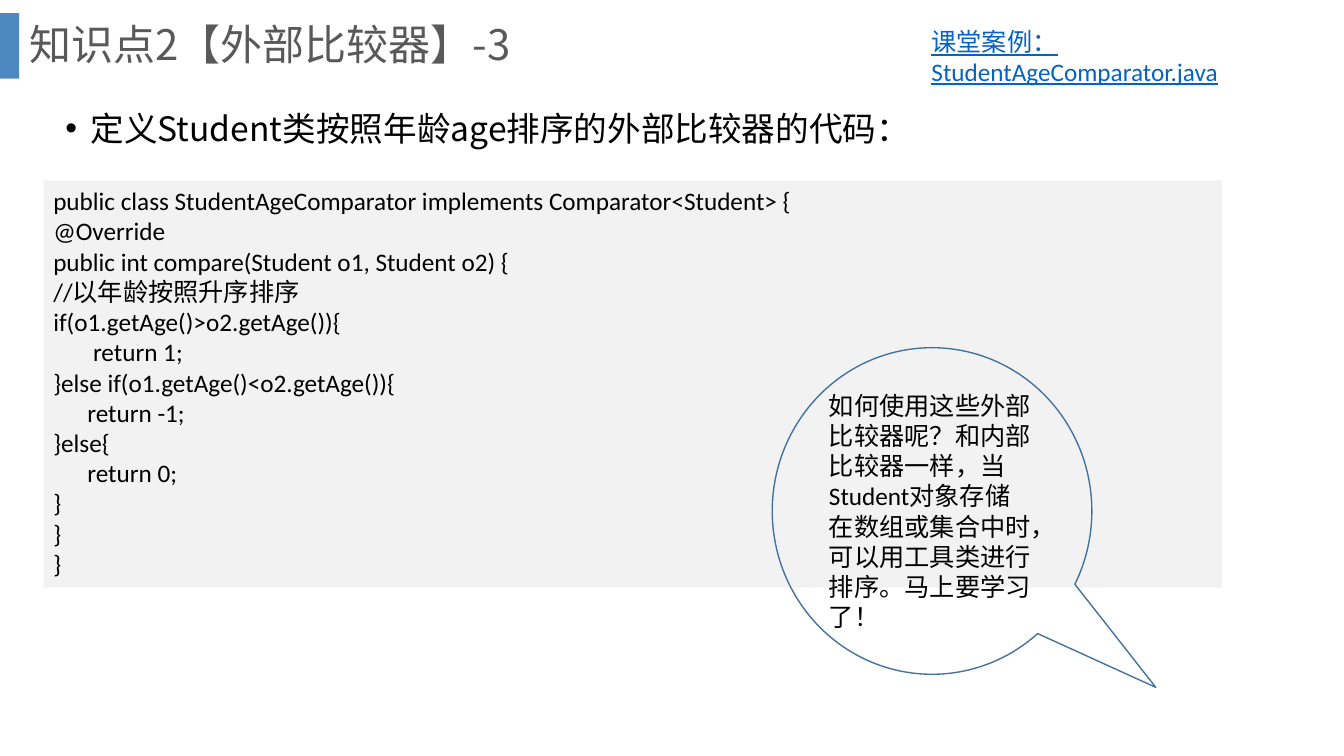
from lxml import etree
from pptx import Presentation
from pptx.dml.color import RGBColor
from pptx.enum.shapes import MSO_SHAPE
from pptx.enum.text import MSO_ANCHOR, PP_ALIGN
from pptx.oxml.ns import qn
from pptx.util import Inches, Pt

RECTANGLE, CALLOUT = MSO_SHAPE.RECTANGLE, MSO_SHAPE.OVAL_CALLOUT
TOP, MIDDLE, LEFT = MSO_ANCHOR.TOP, MSO_ANCHOR.MIDDLE, PP_ALIGN.LEFT
SANS, LATIN = "Noto Sans CJK SC", "Calibri"

# Content
TITLE = ["知识点2【外部比较器】-3"]
POINT = ["定义Student类按照年龄age排序的外部比较器的代码："]
CODE = """public class StudentAgeComparator implements Comparator<Student> {
@Override
public int compare(Student o1, Student o2) {
//以年龄按照升序排序
if(o1.getAge()>o2.getAge()){
       return 1;
}else if(o1.getAge()<o2.getAge()){
      return -1;
}else{
      return 0;
}
}
}""".split("\n")
CASE = ["课堂案例：", "StudentAgeComparator.java"]
QUESTION = ["如何使用这些外部比较器呢？和内部比较器一样，当Student对象存储在数组或集合中时，"
            "可以用工具类进行排序。马上要学习了！"]

# Places in inches: left, top, width, height
PLACES = {
    "accent": (0, 0.13, 0.19, 0.65),
    "title": (0.19, 0, 12.66, 0.93),
    "point": (0.55, 0.82, 11.89, 0.9),
    "code": (0.43, 1.79, 11.69, 4.04),
    "case": (9.14, 0.21, 3.62, 0.71),
    "question": (7.66, 3.45, 3.17, 3.24),
}


def color(value):
    return RGBColor.from_string(value)


def place(name):
    return [Inches(length) for length in PLACES[name]]


def write(shape, lines, size, font, ink="000000", anchor=TOP, spacing=1.0, underline=None):
    frame = shape.text_frame
    frame.word_wrap = True
    frame.vertical_anchor = anchor
    for number, line in enumerate(lines):
        para = frame.add_paragraph() if number else frame.paragraphs[0]
        para.alignment = LEFT
        para.line_spacing = spacing
        para.space_before = Pt(0)
        span = para.add_run()
        span.text = line
        # East Asian letters need their own typeface entry
        etree.SubElement(span._r.get_or_add_rPr(), qn("a:ea"), typeface=SANS)
        para.font.name = span.font.name = font
        para.font.size = span.font.size = Pt(size)
        para.font.color.rgb = span.font.color.rgb = color(ink)
        span.font.underline = underline


def add_panel(page, kind, name, fill=None, line=None):
    panel = page.shapes.add_shape(kind, *place(name))
    panel.shadow.inherit = False
    if fill:
        panel.fill.solid()
        panel.fill.fore_color.rgb = color(fill)
    else:
        panel.fill.background()
    if line:
        panel.line.color.rgb = color(line)
        panel.line.width = Pt(1)
    else:
        panel.line.fill.background()
    return panel


def add_bullet(para, indent):
    properties = para._p.get_or_add_pPr()
    properties.set("marL", str(Inches(indent)))
    properties.set("indent", str(-Inches(indent)))
    etree.SubElement(properties, qn("a:buFont"), typeface="Arial")
    etree.SubElement(properties, qn("a:buChar"), char="•")


def main():
    deck = Presentation()
    deck.slide_width, deck.slide_height = Inches(13.33), Inches(7.5)
    page = deck.slides.add_slide(deck.slide_layouts[5])

    # Heading with its accent bar
    accent = add_panel(page, RECTANGLE, "accent", fill="2E75B6")
    tint = accent.fill._xPr.find(qn("a:solidFill"))[0]
    etree.SubElement(tint, qn("a:alpha"), val="85000")
    title = page.shapes.title
    title.left, title.top, title.width, title.height = place("title")
    write(title, TITLE, 30, SANS, "595959", MIDDLE, 0.9)

    # Bullet point
    point = page.shapes.add_textbox(*place("point"))
    add_bullet(point.text_frame.paragraphs[0], 0.25)
    write(point, POINT, 24, SANS, spacing=1.5)

    # Code and the name of its file
    code = add_panel(page, RECTANGLE, "code", fill="F2F2F2")
    write(code, CODE, 18, LATIN)
    case = page.shapes.add_textbox(*place("case"))
    write(case, CASE, 18, LATIN, "0563C1", underline=True)

    # Question in a speech bubble
    question = add_panel(page, CALLOUT, "question", line="43739E")
    question.adjustments[0], question.adjustments[1] = 0.7, 0.54
    write(question, QUESTION, 18, LATIN, anchor=MIDDLE)

    deck.save("out.pptx")


if __name__ == "__main__":
    main()
